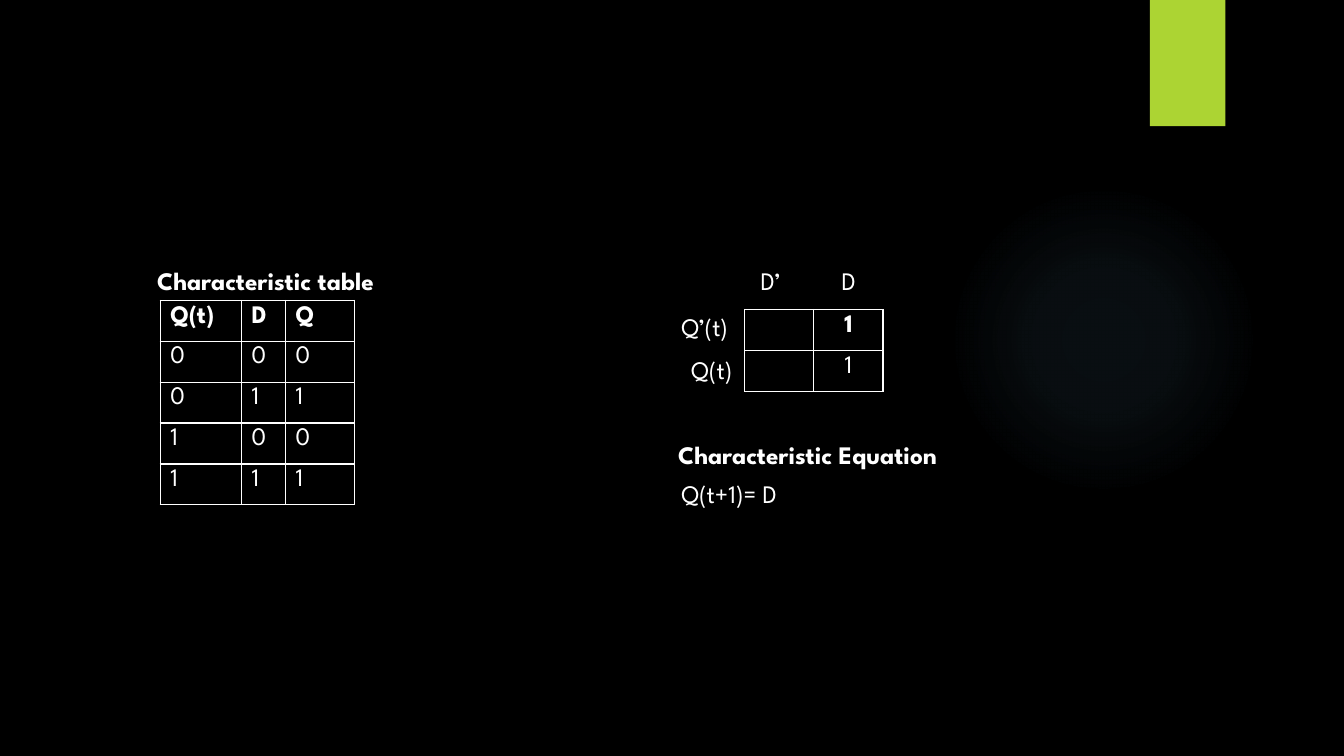
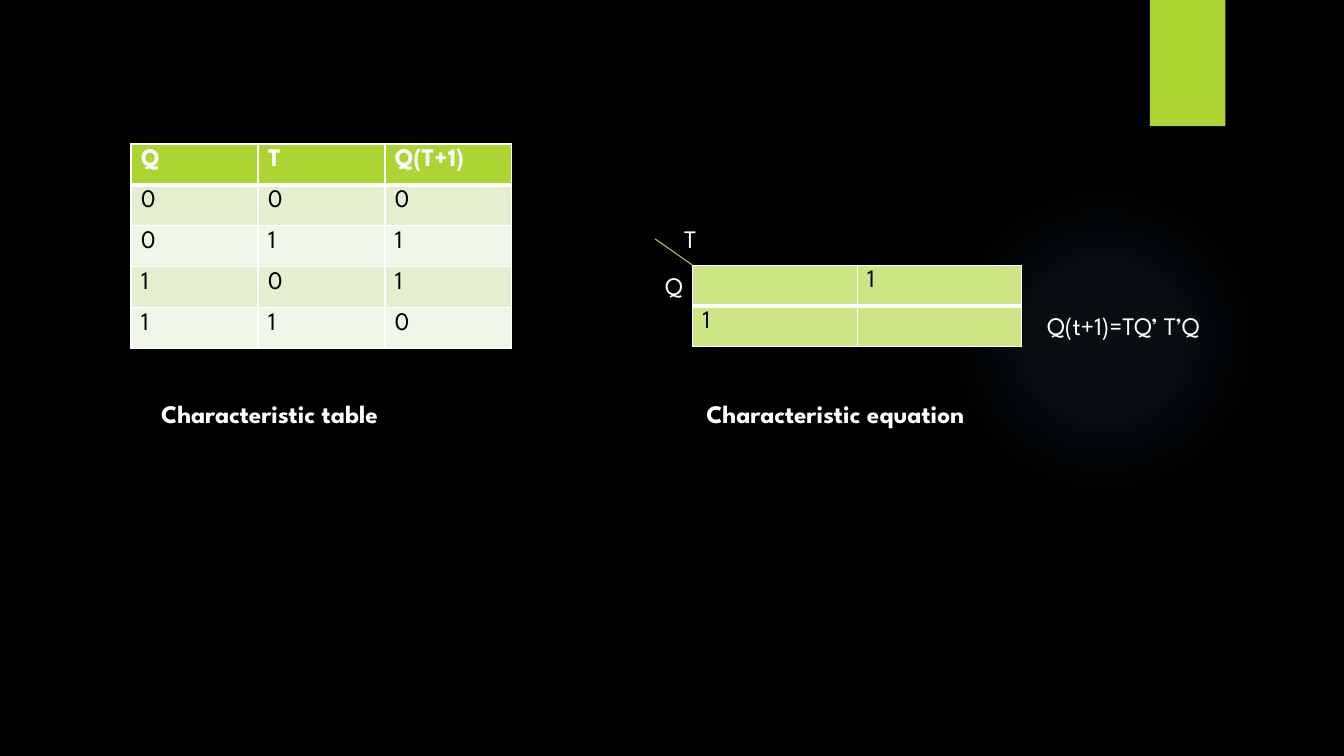
"""Builds two slides on the characteristic tables and equations of D and T flip-flops."""
from lxml import etree
from pptx import Presentation
from pptx.dml.color import RGBColor
from pptx.enum import shapes, text
from pptx.oxml import ns
from pptx.util import Cm, Pt

BLACK = RGBColor(0x00, 0x00, 0x00)
WHITE = RGBColor(0xFF, 0xFF, 0xFF)
LIME = RGBColor(0xAC, 0xD4, 0x33)
SOFT_LIME = RGBColor(0xCD, 0xE5, 0x85)
BAND_DARK = RGBColor(0xE3, 0xEF, 0xCE)
BAND_LIGHT = RGBColor(0xF1, 0xF7, 0xE8)
GLOW = RGBColor(0x7A, 0xC4, 0xF0)

FONT = {"name": "League Spartan", "size": Pt(18)}
ROW_HEIGHT = 1.03
LABEL_HEIGHT = 1.02
GLOW_STOPS = [(0, 7), (36, 6), (69, 0)]

DARK_STYLE = {"header": BLACK, "bands": [BLACK], "ink": WHITE, "bold_header": True, "rule": 1}
LIME_STYLE = {"header": LIME, "bands": [BAND_DARK, BAND_LIGHT], "ink": BLACK,
              "bold_header": True, "rule": 3}
MAP_STYLE = {"header": SOFT_LIME, "bands": [SOFT_LIME], "ink": BLACK,
             "bold_header": False, "rule": 3}
LEFT, CENTER = text.PP_ALIGN.LEFT, text.PP_ALIGN.CENTER

SLIDES = [
    {
        "tables": [
            (4.04, 7.57, [2.05, 1.11, 1.74], LEFT, DARK_STYLE,
             [["Q(t)", "D", "Q"], "000", "011", "100", "111"]),
            (18.77, 7.8, [1.74, 1.74], CENTER, DARK_STYLE, [["", "1"], ["", "1"]]),
        ],
        "labels": [
            ("Characteristic table", 3.71, 6.55, 7.04, True),
            ("D’", 18.92, 6.55, 1.24, False),
            ("D", 20.96, 6.55, 1.24, False),
            ("Q’(t)", 16.92, 7.72, 2.34, False),
            ("Q(t)", 17.17, 8.81, 1.85, False),
            ("Q(t+1)= D", 16.92, 11.94, 8.1, False),
            ("Characteristic Equation", 16.84, 10.95, 8.23, True),
        ],
        "lines": [],
    },
    {
        "tables": [
            (3.3, 3.63, [3.2] * 3, LEFT, LIME_STYLE,
             [["Q", "T", "Q(T+1)"], "000", "011", "101", "110"]),
            (17.45, 6.68, [4.15, 4.15], LEFT, MAP_STYLE, [["", "1"], ["1", ""]]),
        ],
        "labels": [
            ("Characteristic table", 3.81, 9.91, 7.9, True),
            ("Q", 16.51, 6.68, 0.94, False),
            ("T", 16.99, 5.51, 1.12, False),
            ("Characteristic equation", 17.55, 9.91, 8.26, True),
            ("Q(t+1)=TQ’ T’Q", 26.14, 7.7, 5.23, False),
        ],
        "lines": [(17.45, 6.68, 16.51, 6.02)],
    },
]


def set_font(font, color, bold):
    for name, value in {**FONT, "bold": bold}.items():
        setattr(font, name, value)
    font.color.rgb = color


def add_child(parent, tag, **attributes):
    return etree.SubElement(parent, ns.qn(tag), attributes)


def add_plain_shape(slide, kind, left, top, width, height, color):
    shape = slide.shapes.add_shape(kind, Cm(left), Cm(top), Cm(width), Cm(height))
    shape.shadow.inherit = False
    shape.fill.solid()
    shape.fill.fore_color.rgb = color
    shape.line.fill.background()
    return shape


def add_backdrop(slide):
    slide.background.fill.solid()
    slide.background.fill.fore_color.rgb = BLACK
    glow = add_plain_shape(slide, shapes.MSO_SHAPE.OVAL, 23.9, 4.65, 7.82, 7.82, GLOW)
    solid = glow.element.spPr.find(ns.qn("a:solidFill"))
    gradient = etree.Element(ns.qn("a:gradFill"))
    stops = add_child(gradient, "a:gsLst")
    for position, opacity in GLOW_STOPS:
        stop = add_child(stops, "a:gs", pos=str(position * 1000))
        color = add_child(stop, "a:srgbClr", val=str(GLOW))
        add_child(color, "a:alpha", val=str(opacity * 1000))
    circle = add_child(gradient, "a:path", path="circle")
    add_child(circle, "a:fillToRect", l="50000", t="50000", r="50000", b="50000")
    solid.getparent().replace(solid, gradient)
    add_plain_shape(slide, shapes.MSO_SHAPE.RECTANGLE, 28.98, 0, 1.9, 3.18, LIME)


def set_borders(cell, widths):
    properties = cell._tc.get_or_add_tcPr()
    for side, width in widths.items():
        line = add_child(properties, f"a:ln{side}", w=str(Pt(width)))
        add_child(add_child(line, "a:solidFill"), "a:srgbClr", val=str(WHITE))


def add_grid(slide, left, top, widths, align, style, rows):
    frame = slide.shapes.add_table(len(rows), len(widths), Cm(left), Cm(top),
                                   Cm(sum(widths)), Cm(ROW_HEIGHT * len(rows)))
    table = frame.table
    table.first_row = table.horz_banding = False
    for column, width in zip(table.columns, widths):
        column.width = Cm(width)
    for index, values in enumerate(rows):
        table.rows[index].height = Cm(ROW_HEIGHT)
        is_header = index == 0
        bold = is_header and style["bold_header"]
        bands = style["bands"]
        fill = style["header"] if is_header else bands[(index - 1) % len(bands)]
        borders = {"L": 1, "R": 1, "T": style["rule"] if index == 1 else 1,
                   "B": style["rule"] if is_header else 1}
        for cell, value in zip(table.rows[index].cells, values):
            set_borders(cell, borders)
            cell.fill.solid()
            cell.fill.fore_color.rgb = fill
            paragraph = cell.text_frame.paragraphs[0]
            paragraph.alignment = align
            if value:
                run = paragraph.add_run()
                run.text = value
                set_font(run.font, WHITE if bold else style["ink"], bold)


def add_label(slide, words, left, top, width, bold):
    box = slide.shapes.add_textbox(Cm(left), Cm(top), Cm(width), Cm(LABEL_HEIGHT))
    box.text_frame.word_wrap = True
    box.text_frame.auto_size = text.MSO_AUTO_SIZE.SHAPE_TO_FIT_TEXT
    run = box.text_frame.paragraphs[0].add_run()
    run.text = words
    set_font(run.font, WHITE, bold)


def add_line(slide, *ends):
    line = slide.shapes.add_connector(shapes.MSO_CONNECTOR.STRAIGHT, *map(Cm, ends))
    line.line.color.rgb = LIME
    line.line.width = Pt(0.75)
    add_child(line.element.spPr, "a:effectLst")


def main():
    presentation = Presentation()
    presentation.slide_width, presentation.slide_height = Cm(33.87), Cm(19.05)
    for content in SLIDES:
        slide = presentation.slides.add_slide(presentation.slide_layouts[6])
        add_backdrop(slide)
        for kind, add_part in {"tables": add_grid, "lines": add_line, "labels": add_label}.items():
            for part in content[kind]:
                add_part(slide, *part)
    presentation.save("out.pptx")


if __name__ == "__main__":
    main()
